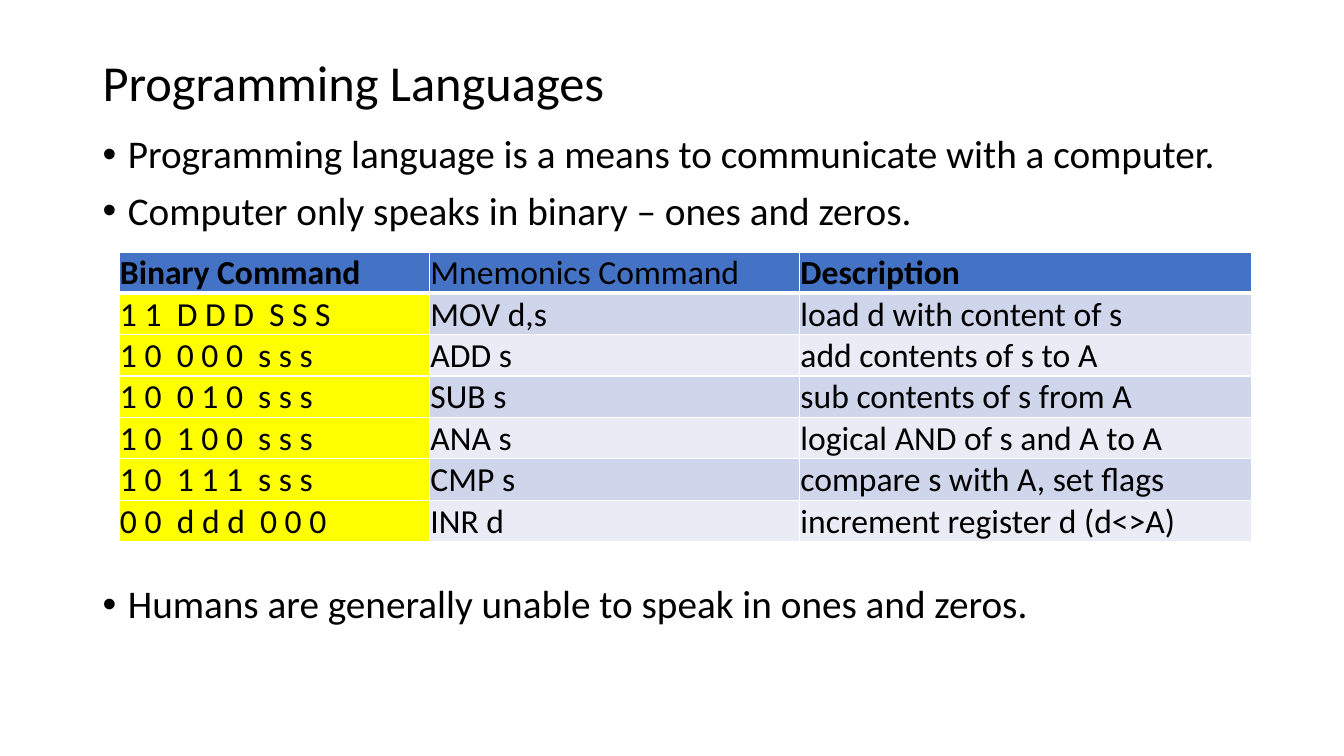
from dataclasses import dataclass

from lxml import etree
from pptx import Presentation
from pptx.dml.color import RGBColor
from pptx.enum.text import MSO_ANCHOR
from pptx.oxml.ns import qn
from pptx.util import Inches, Pt

MIDDLE = MSO_ANCHOR.MIDDLE
TOP = MSO_ANCHOR.TOP


@dataclass(frozen=True)
class Theme:
    font: str = "Calibri"
    text: str = "000000"
    header: str = "4472C4"
    highlight: str = "FFFF00"
    bands: tuple = ("CFD5EA", "E9EBF5")
    border: str = "FFFFFF"
    title_size: int = 36
    body_size: int = 28
    table_size: int = 24
    line_spacing: float = 0.9
    bullet_gap: int = 10


@dataclass(frozen=True)
class Box:
    left: float
    top: float
    width: float
    height: float

    def lengths(self):
        return [Inches(side) for side in (self.left, self.top, self.width, self.height)]


THEME = Theme()
SLIDE_WIDTH, SLIDE_HEIGHT = 13.33, 7.5
TITLE_BOX = Box(0.92, 0.4, 11.5, 0.89)
BODY_BOX = Box(0.92, 1.29, 11.5, 5.47)
TABLE_BOX = Box(1.18, 2.5, 11.23, 2.85)
COLUMN_SHARES = (3.08 / 11.23, 3.67 / 11.23, 4.48 / 11.23)
TABLE_GAP = 251

BULLETS = [
    ("Programming language is a means to communicate with a computer.", THEME.bullet_gap),
    ("Computer only speaks in binary – ones and zeros.", THEME.bullet_gap),
    ("Humans are generally unable to speak in ones and zeros.", TABLE_GAP),
]
COMMANDS = [
    ("Binary Command", "Mnemonics Command", "Description"),
    ("1 1  D D D  S S S", "MOV d,s", "load d with content of s"),
    ("1 0  0 0 0  s s s", "ADD s", "add contents of s to A"),
    ("1 0  0 1 0  s s s", "SUB s", "sub contents of s from A"),
    ("1 0  1 0 0  s s s", "ANA s", "logical AND of s and A to A"),
    ("1 0  1 1 1  s s s", "CMP s", "compare s with A, set flags"),
    ("0 0  d d d  0 0 0", "INR d", "increment register d (d<>A)"),
]


def format_runs(paragraph, size, bold=False):
    for run in paragraph.runs:
        run.font.name = THEME.font
        run.font.size = Pt(size)
        run.font.bold = bold
        run.font.color.rgb = RGBColor.from_string(THEME.text)


def add_text_frame(slide, box, anchor):
    text_frame = slide.shapes.add_textbox(*box.lengths()).text_frame
    text_frame.word_wrap = True
    text_frame.vertical_anchor = anchor
    return text_frame


def add_title(slide, box, text):
    text_frame = add_text_frame(slide, box, MIDDLE)
    text_frame.text = text
    paragraph = text_frame.paragraphs[0]
    paragraph.line_spacing = THEME.line_spacing
    format_runs(paragraph, THEME.title_size)


def set_bullet(paragraph):
    properties = paragraph._p.get_or_add_pPr()
    properties.set("marL", str(Inches(0.25)))
    properties.set("indent", str(-Inches(0.25)))
    etree.SubElement(properties, qn("a:buFont")).set("typeface", "Arial")
    etree.SubElement(properties, qn("a:buChar")).set("char", "•")


def add_bullets(slide, box, bullets):
    text_frame = add_text_frame(slide, box, TOP)
    text_frame.text = "\n".join(text for text, gap in bullets)
    for paragraph, (text, gap) in zip(text_frame.paragraphs, bullets):
        paragraph.line_spacing = THEME.line_spacing
        paragraph.space_before = Pt(gap)
        set_bullet(paragraph)
        format_runs(paragraph, THEME.body_size)


def set_borders(cell, bottom_width):
    properties = cell._tc.get_or_add_tcPr()
    for side, width in (("lnL", 1), ("lnR", 1), ("lnT", 1), ("lnB", bottom_width)):
        line = etree.SubElement(properties, qn(f"a:{side}"), w=str(Pt(width)))
        fill = etree.SubElement(line, qn("a:solidFill"))
        etree.SubElement(fill, qn("a:srgbClr"), val=THEME.border)


def cell_color(row, column):
    if row == 0:
        return THEME.header
    return THEME.highlight if column == 0 else THEME.bands[(row - 1) % 2]


def style_cell(cell, row, column):
    cell.vertical_anchor = MIDDLE
    cell.margin_left = cell.margin_right = cell.margin_top = Inches(0.01)
    cell.margin_bottom = 0
    set_borders(cell, 3 if row == 0 else 1)
    cell.fill.solid()
    cell.fill.fore_color.rgb = RGBColor.from_string(cell_color(row, column))
    bold = row == 0 and column != 1
    format_runs(cell.text_frame.paragraphs[0], THEME.table_size, bold)


def add_command_table(slide, box, commands):
    frame = slide.shapes.add_table(len(commands), len(COLUMN_SHARES), *box.lengths())
    table = frame.table
    for column, share in zip(table.columns, COLUMN_SHARES):
        column.width = Inches(box.width * share)
    for row, texts in enumerate(commands):
        table.rows[row].height = Inches(box.height / len(commands))
        for column, text in enumerate(texts):
            cell = table.cell(row, column)
            cell.text = text
            style_cell(cell, row, column)


def main():
    presentation = Presentation()
    presentation.slide_width = Inches(SLIDE_WIDTH)
    presentation.slide_height = Inches(SLIDE_HEIGHT)
    slide = presentation.slides.add_slide(presentation.slide_layouts[6])
    add_title(slide, TITLE_BOX, "Programming Languages")
    add_bullets(slide, BODY_BOX, BULLETS)
    add_command_table(slide, TABLE_BOX, COMMANDS)
    presentation.save("out.pptx")


if __name__ == "__main__":
    main()
